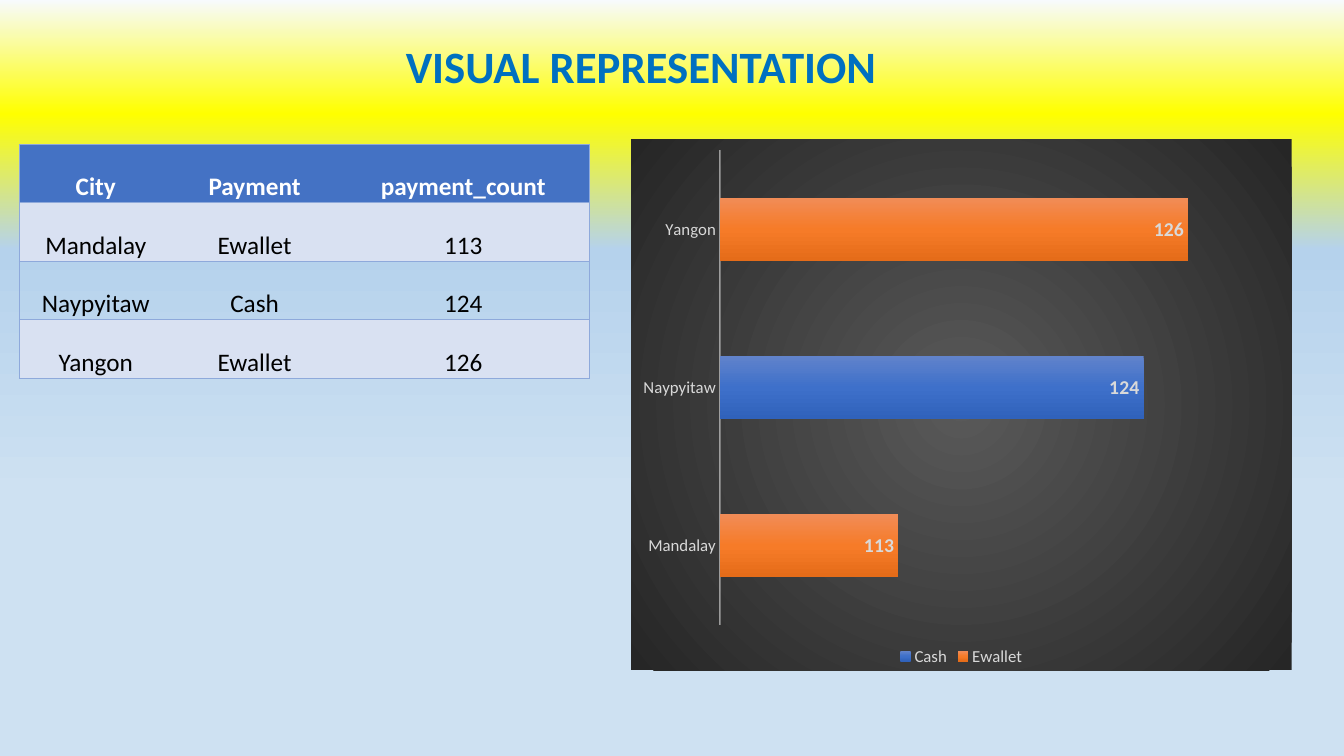
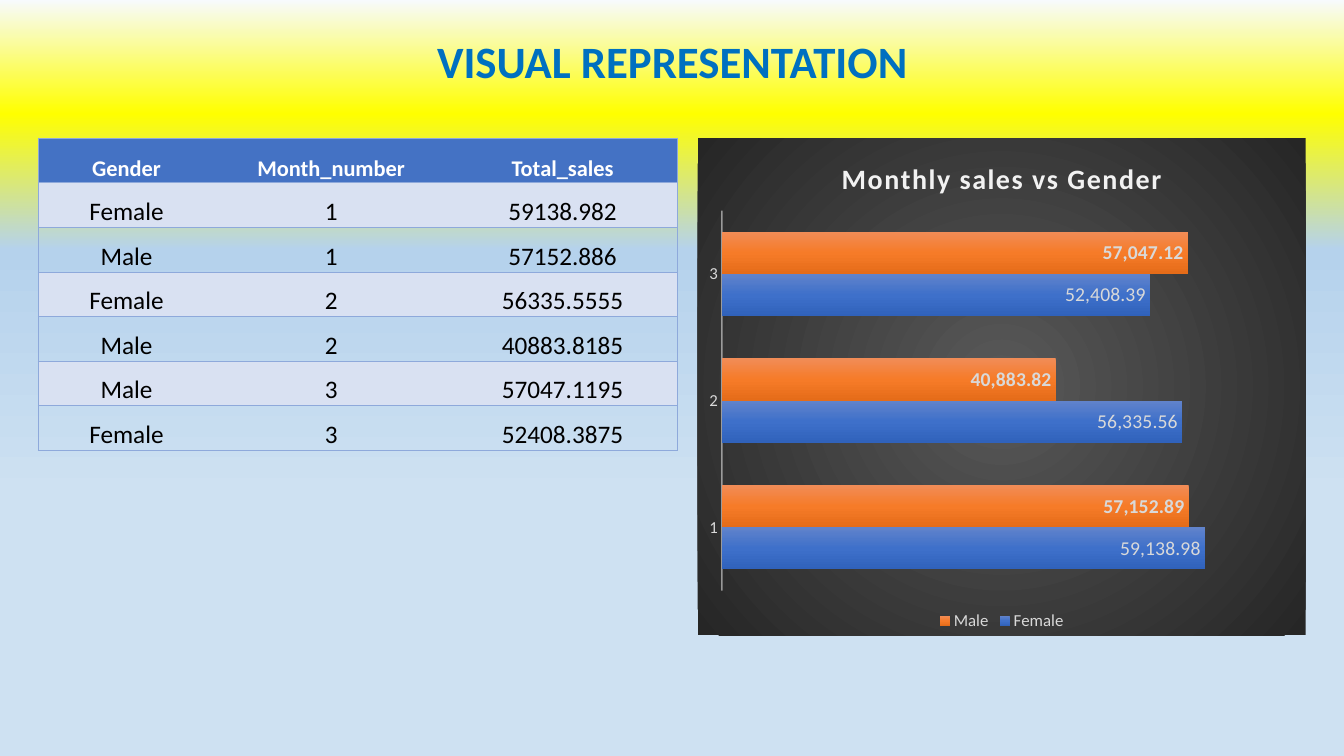
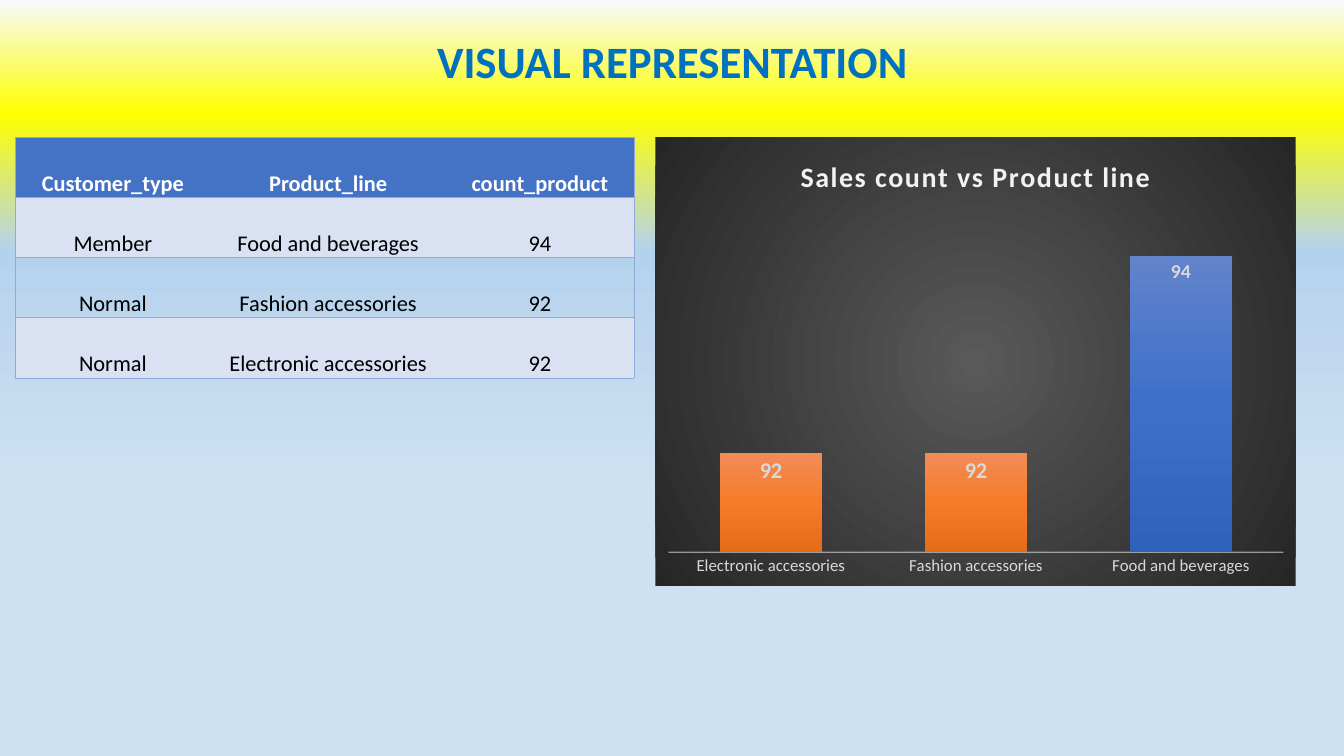
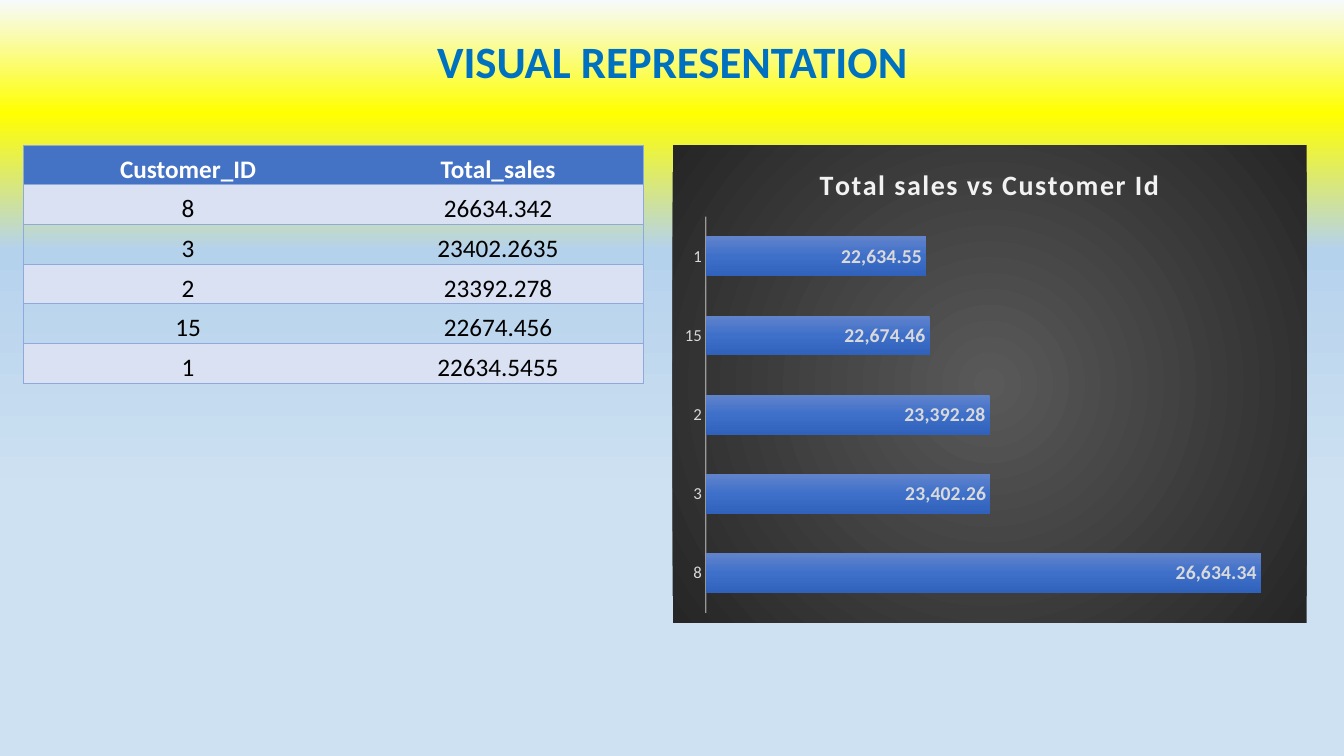
from lxml.etree import SubElement
from pptx import Presentation
from pptx.chart.data import CategoryChartData
from pptx.dml.color import RGBColor
from pptx.enum.chart import (XL_CHART_TYPE as Kind, XL_LABEL_POSITION as Spot,
                             XL_LEGEND_POSITION as Side, XL_TICK_MARK as Tick)
from pptx.enum.text import MSO_ANCHOR as Anchor, PP_ALIGN as Align
from pptx.oxml import parse_xml
from pptx.oxml.ns import nsdecls, qn
from pptx.util import Inches, Pt

FONT = "Calibri"
HEAD, BAND, EDGE = "4472C4", "D9E1F2", "8EA9DB"
TITLE, PALE, LABEL = "0070C0", "F2F2F2", "D9D9D9"
SKY = [(0, "F7FAFD"), (15, "FFFF00"), (33, "B5D2EC"), (66, "CEE1F2")]
DARK = [(0, "595959"), (100, "262626")]
BLUE = [(0, "6183CB"), (50, "3E70CA"), (100, "3062BB")]
ORANGE = [(0, "F18C57"), (50, "F67B28"), (100, "E56C19")]
GRAY = [(0, "AFAFAF"), (50, "A5A5A5"), (100, "939393")]
PLAIN = "{2D5ABB26-0587-4C30-8999-92F81FD0307C}"
MONEY = "#,##0.00"
HEADING = "VISUAL REPRESENTATION"
FRAME = (0.92, 0.29, 11.5, 0.68)

# Boxes are left, top, width, height in inches.
# Each series is name, values, gradient, label size, label bold.
SLIDES = [
    dict(
        frame=(0.61, 0.33, 11.5, 0.7),
        table=dict(
            box=(0.19, 1.43, 5.65, 2.32), cols=(1.52, 1.63, 2.51), sizes=(18, 18),
            rows=[("City", "Payment", "payment_count"),
                  ("Mandalay", "Ewallet", "113"),
                  ("Naypyitaw", "Cash", "124"),
                  ("Yangon", "Ewallet", "126")]),
        chart=dict(
            box=(6.26, 1.38, 6.55, 5.27), plot=(7.14, 1.49, 5.53, 4.71),
            kind=Kind.BAR_STACKED, gap=150, scale=(105, 130), legend=True,
            cats=("Mandalay", "Naypyitaw", "Yangon"),
            series=[("Cash", (None, 124, None), BLUE, 14, True),
                    ("Ewallet", (113, None, 126), ORANGE, 14, True)])),
    dict(
        table=dict(
            box=(0.38, 1.37, 6.34, 3.1), cols=(1.75, 2.31, 2.28), sizes=(16, 18),
            rows=[("Gender", "Month_number", "Total_sales"),
                  ("Female", "1", "59138.982"),
                  ("Male", "1", "57152.886"),
                  ("Female", "2", "56335.5555"),
                  ("Male", "2", "40883.8185"),
                  ("Male", "3", "57047.1195"),
                  ("Female", "3", "52408.3875")]),
        chart=dict(
            box=(6.92, 1.37, 6.03, 4.93), plot=(7.16, 2.09, 5.67, 3.77),
            kind=Kind.BAR_CLUSTERED, scale=(0, 70000), legend=True,
            title="Monthly sales vs Gender", form=MONEY, cats=("1", "2", "3"),
            series=[("Female", (59138.98, 56335.56, 52408.39), BLUE, 14, False),
                    ("Male", (57152.89, 40883.82, 57047.12), ORANGE, 14, True)])),
    dict(
        table=dict(
            box=(0.15, 1.36, 6.14, 2.39), cols=(1.94, 2.33, 1.87), sizes=(16, 16),
            rows=[("Customer_type", "Product_line", "count_product"),
                  ("Member", "Food and beverages", "94"),
                  ("Normal", "Fashion accessories", "92"),
                  ("Normal", "Electronic accessories", "92")]),
        chart=dict(
            box=(6.5, 1.36, 6.35, 4.45), plot=(6.63, 2.05, 6.1, 3.43),
            kind=Kind.COLUMN_STACKED, scale=(91, 94.5),
            title="Sales count vs Product line",
            cats=("Electronic accessories", "Fashion accessories",
                  "Food and beverages"),
            series=[("Series 1", (None, None, 94), BLUE, 14, True),
                    ("Series 2", (92, 92, None), ORANGE, 16, True)])),
    dict(
        table=dict(
            box=(0.23, 1.44, 6.16, 2.36), cols=(3.27, 2.88), sizes=(18, 18),
            rows=[("Customer_ID", "Total_sales"),
                  ("8", "26634.342"),
                  ("3", "23402.2635"),
                  ("2", "23392.278"),
                  ("15", "22674.456"),
                  ("1", "22634.5455")]),
        chart=dict(
            box=(6.67, 1.44, 6.29, 4.74), plot=(7, 2.15, 5.81, 3.93),
            kind=Kind.BAR_STACKED, scale=(20000, 27000),
            title="Total sales vs Customer Id", form=MONEY,
            cats=("8", "3", "2", "15", "1"),
            series=[("Series 1", (26634.34, 23402.26, 23392.28, 22674.46, 22634.55),
                     BLUE, 14, True),
                    ("Series 2", (None,) * 5, ORANGE, 12, False),
                    ("Series 3", (None,) * 5, GRAY, 12, False)])),
]


def rgb(code):
    return RGBColor.from_string(code)


def inches(box):
    return [Inches(n) for n in box]


def style(font, size, color, bold=False):
    font.name, font.size, font.bold = FONT, Pt(size), bold
    font.color.rgb = rgb(color)


def write(frame, text, size, color, bold=False, lines=None, track=None):
    """Put one centred line of formatted text in a text frame."""
    para = frame.paragraphs[0]
    para.alignment = Align.CENTER
    if lines:
        para.line_spacing = lines
    run = para.add_run()
    run.text = text
    style(run.font, size, color, bold)
    if track:
        run._r.get_or_add_rPr().set("spc", str(track))


def blend(stops, round=False):
    """Return a gradient fill, running downwards or out from the centre."""
    marks = "".join(f'<a:gs pos="{at * 1000}"><a:srgbClr val="{code}"/></a:gs>'
                    for at, code in stops)
    way = '<a:lin ang="5400000" scaled="0"/>'
    if round:
        way = ('<a:path path="circle"><a:fillToRect l="50000" t="50000" '
               'r="50000" b="50000"/></a:path>')
    return parse_xml(f'<a:gradFill {nsdecls("a")} rotWithShape="1">'
                     f'<a:gsLst>{marks}</a:gsLst>{way}</a:gradFill>')


def regrade(node, stops):
    """Swap the first solid fill under node for a gradient."""
    old = node.find(".//" + qn("a:solidFill"))
    old.getparent().replace(old, blend(stops))


def border(cell, sides):
    props = cell._tc.get_or_add_tcPr()
    for i, side in enumerate(sides):
        props.insert(i, parse_xml(
            f'<a:ln{side} {nsdecls("a")} w="6350"><a:solidFill>'
            f'<a:srgbClr val="{EDGE}"/></a:solidFill></a:ln{side}>'))


def add_grid(slide, box, cols, sizes, rows):
    table = slide.shapes.add_table(len(rows), len(cols), *inches(box)).table
    table.horz_banding = table.first_row = False
    table._tbl.tblPr.find(qn("a:tableStyleId")).text = PLAIN
    for col, width in zip(table.columns, cols):
        col.width = Inches(width)
    for r, row in enumerate(rows):
        table.rows[r].height = Inches(box[3] / len(rows))
        for c, text in enumerate(row):
            cell = table.cell(r, c)
            cell.vertical_anchor = Anchor.BOTTOM
            cell.margin_left = cell.margin_right = cell.margin_top = Inches(0.01)
            cell.margin_bottom = 0
            if r and r % 2 == 0:
                cell.fill.background()
            else:
                cell.fill.solid()
                cell.fill.fore_color.rgb = rgb(BAND if r else HEAD)
            last = c == len(row) - 1
            border(cell, ["L"] * (c == 0) + ["R"] * last + ["T", "B"])
            write(cell.text_frame, text, sizes[r > 0],
                  "000000" if r else "FFFFFF", bold=r == 0)


def place_plot(chart, box, plot):
    """Fix the inner plot area, given in slide inches."""
    area = chart.element.find(".//" + qn("c:plotArea"))
    for old in area.findall(qn("c:layout")):
        area.remove(old)
    layout = parse_xml(f'<c:layout {nsdecls("c")}/>')
    hand = SubElement(layout, qn("c:manualLayout"))
    parts = [("layoutTarget", "inner"), ("xMode", "edge"), ("yMode", "edge"),
             ("x", (plot[0] - box[0]) / box[2]), ("y", (plot[1] - box[1]) / box[3]),
             ("w", plot[2] / box[2]), ("h", plot[3] / box[3])]
    for tag, val in parts:
        SubElement(hand, qn("c:" + tag)).set("val", str(val))
    area.insert(0, layout)


def add_graph(slide, box, plot, kind, scale, cats, series, gap=100,
              title=None, form="General", legend=False):
    data = CategoryChartData(number_format=form)
    data.categories = cats
    for name, vals, *_ in series:
        data.add_series(name, vals)
    chart = slide.shapes.add_chart(kind, *inches(box), data).chart
    style(chart.font, 10, "000000")
    panel = parse_xml(f'<c:spPr {nsdecls("c", "a")}/>')
    panel.append(blend(DARK, round=True))
    SubElement(SubElement(panel, qn("a:ln")), qn("a:noFill"))
    chart.element.find(qn("c:chart")).addnext(panel)

    chart.has_title = bool(title)
    if title:
        write(chart.chart_title.text_frame, title, 20, PALE, bold=True, track=100)
    chart.has_legend = legend
    if legend:
        chart.legend.position = Side.BOTTOM
        chart.legend.include_in_layout = False
        style(chart.legend.font, 12, LABEL)

    axis = chart.category_axis
    axis.major_tick_mark = axis.minor_tick_mark = Tick.NONE
    axis.has_major_gridlines = False
    style(axis.tick_labels.font, 12, LABEL)
    line = axis.format.line
    line.width = Pt(1)
    line.color.rgb = rgb(PALE)
    tint = axis._element.find(qn("c:spPr")).find(".//" + qn("a:srgbClr"))
    SubElement(tint, qn("a:alpha")).set("val", "54000")
    values = chart.value_axis
    values.has_major_gridlines = values.visible = False
    values.minimum_scale, values.maximum_scale = scale

    bars = chart.plots[0]
    bars.vary_by_categories = False
    bars.gap_width = gap
    bars.overlap = 0 if kind == Kind.BAR_CLUSTERED else 100
    for item, (_, _, stops, size, bold) in zip(bars.series, series):
        item.invert_if_negative = False
        item.format.fill.solid()
        item.format.fill.fore_color.rgb = rgb(stops[0][1])
        regrade(item._element, stops)
        tags = item.data_labels
        tags.show_value = True
        tags.position = Spot.INSIDE_END
        tags.number_format, tags.number_format_is_linked = form, False
        style(tags.font, size, LABEL, bold)
    place_plot(chart, box, plot)


def set_frame(shape, box):
    shape.left, shape.top, shape.width, shape.height = inches(box)


def main():
    prs = Presentation()
    prs.slide_width, prs.slide_height = Inches(13.33), Inches(7.5)
    master = prs.slide_master
    master.background.fill.solid()
    master.background.fill.fore_color.rgb = rgb(SKY[0][1])
    regrade(master.element.find(".//" + qn("p:bg")), SKY)
    layout = prs.slide_layouts.get_by_name("Title Only")
    set_frame(layout.placeholders[0], FRAME)

    for page in SLIDES:
        slide = prs.slides.add_slide(layout)
        title = slide.shapes.title
        if "frame" in page:
            set_frame(title, page["frame"])
        title.text_frame.vertical_anchor = Anchor.MIDDLE
        write(title.text_frame, HEADING, 32, TITLE, bold=True, lines=0.9)
        add_grid(slide, **page["table"])
        add_graph(slide, **page["chart"])
    prs.save("out.pptx")


if __name__ == "__main__":
    main()
